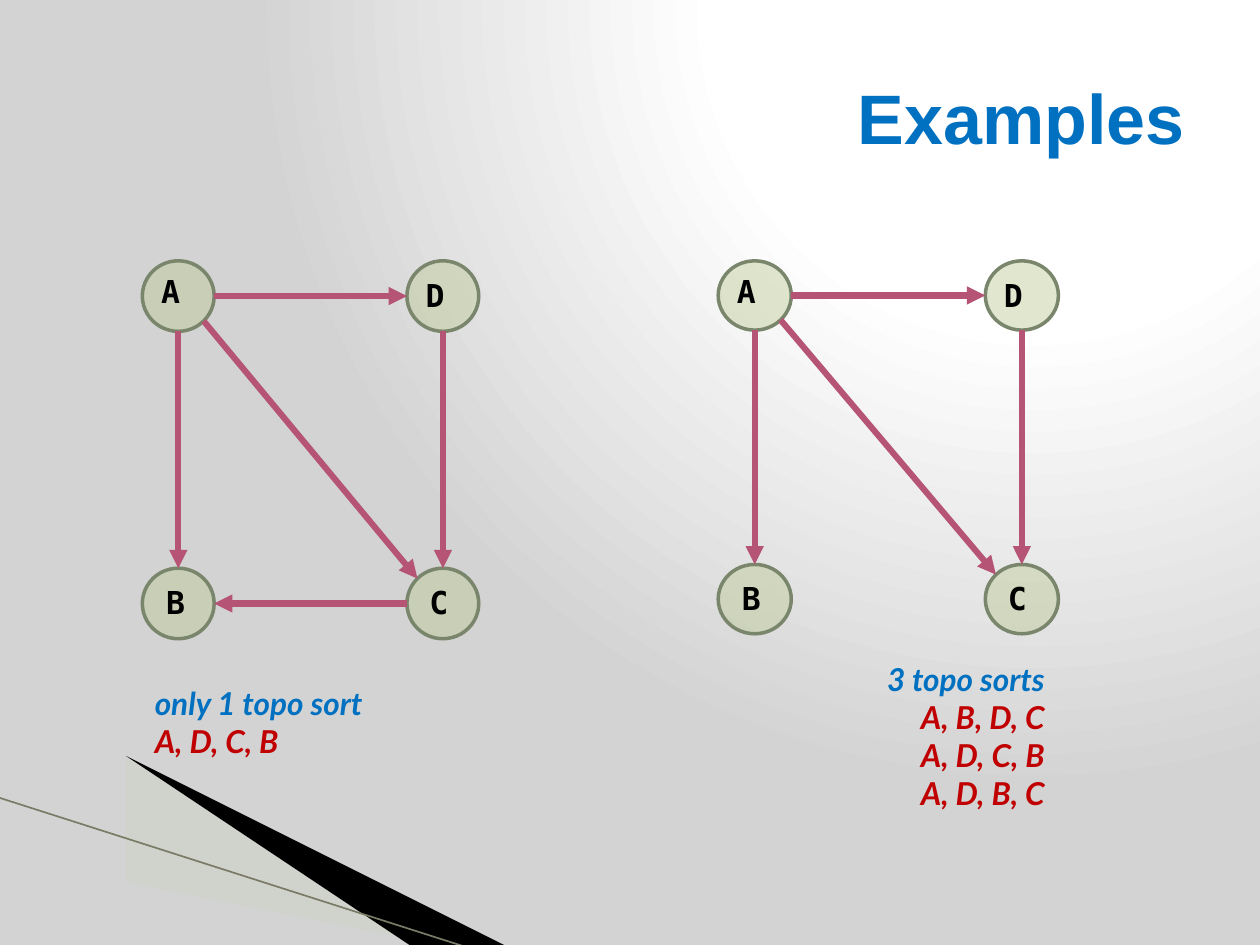
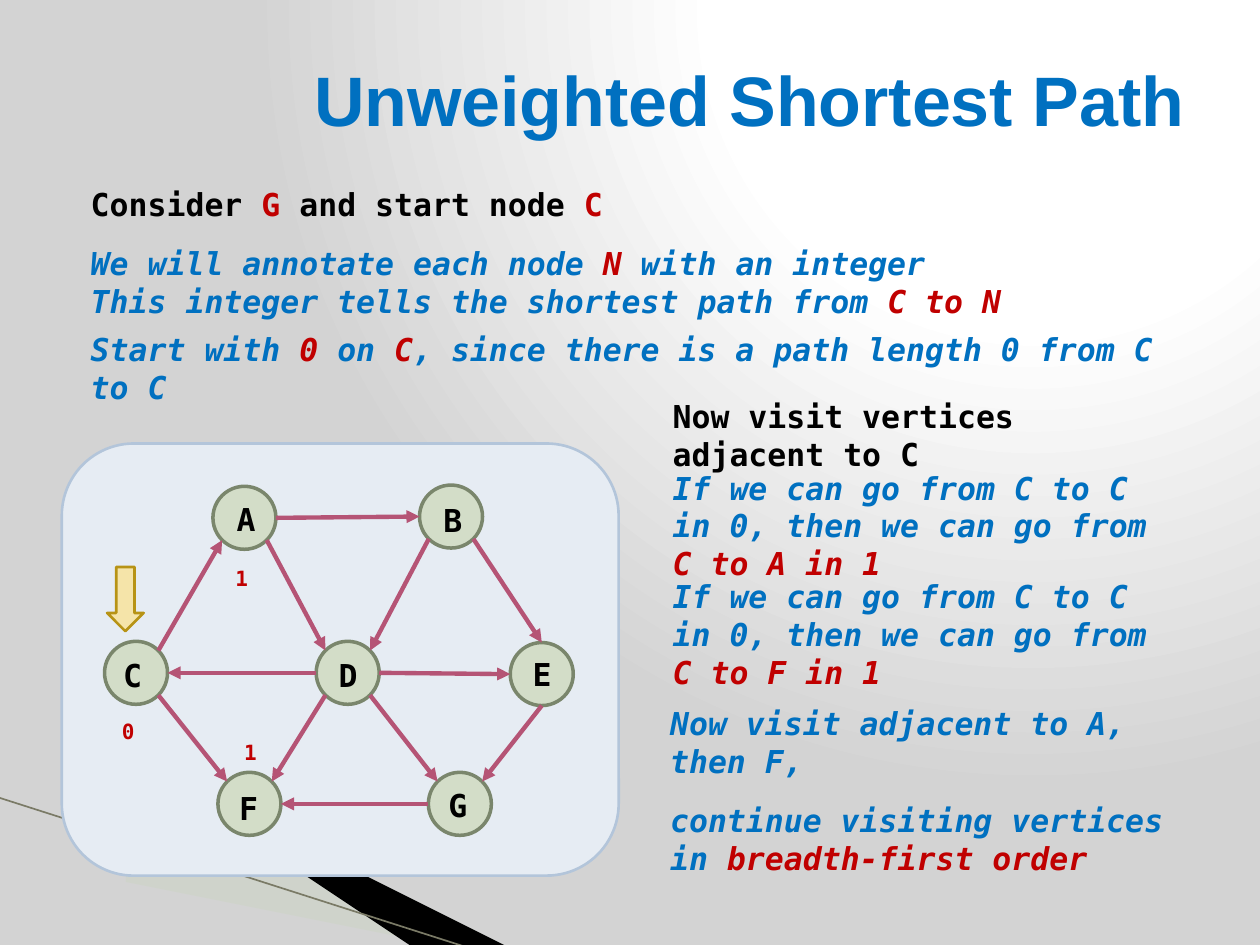
from pptx import Presentation
from pptx.dml.color import RGBColor
from pptx.enum.shapes import MSO_CONNECTOR as CONNECTOR, MSO_SHAPE as SHAPE
from pptx.enum.text import MSO_ANCHOR as ANCHOR, MSO_AUTO_SIZE as AUTO_SIZE, PP_ALIGN as ALIGN
from pptx.oxml import parse_xml
from pptx.oxml.ns import nsdecls, qn
from pptx.util import Inches, Pt
from lxml.etree import SubElement

COLORS = {
    "black": "000000", "blue": "0070C0", "red": "C00000",
    "node": "BECB95", "node_line": "7A866C", "edge": "B55475",
    "panel": "E6ECF3", "panel_line": "B3C5DA",
    "pointer": "F5E4A9", "pointer_line": "B79315",
    "band": "CBD4C0", "band_line": "7A7A66",
    "glow": "FFFFFF", "backdrop": "D3D3D3",
}
TITLE_FONT, MONO, CAPTION_FONT = "Arial", "DejaVu Sans Mono", "Lato"

# Connection points of a node, as fractions of its width and height
NEAR, FAR = 0.146, 0.854
SITES = {
    "n": (0.5, 0), "s": (0.5, 1), "w": (0, 0.5), "e": (1, 0.5),
    "nw": (NEAR, NEAR), "ne": (FAR, NEAR), "sw": (NEAR, FAR), "se": (FAR, FAR),
}
SQUARE_EDGES = ["A e D w", "A s B n", "A se C nw", "D s C n"]
PATH_EDGES = [
    "A e B w", "C ne A sw", "A se D nw", "B sw D ne", "B se E n", "D w C e",
    "D e E w", "C se F nw", "D sw F ne", "D se G nw", "E s G ne", "G w F e",
]


def rgb(name):
    return RGBColor.from_string(COLORS[name])


def paint(shape, fill, line=None, line_width=1, opacity=100):
    shape.shadow.inherit = False
    shape.fill.solid()
    shape.fill.fore_color.rgb = rgb(fill)
    if opacity < 100:
        color = shape.fill._xPr.find(qn("a:solidFill"))[0]
        SubElement(color, qn("a:alpha")).set("val", str(opacity * 1000))
    if line:
        shape.line.color.rgb = rgb(line)
        shape.line.width = Pt(line_width)
    else:
        shape.line.fill.background()


def add_line(shapes, start, end, color, width, arrow=False):
    points = [Inches(value) for value in (*start, *end)]
    line = shapes.add_connector(CONNECTOR.STRAIGHT, *points)
    line.line.color.rgb = rgb(color)
    line.line.width = Pt(width)
    if arrow:
        SubElement(line.line._get_or_add_ln(), qn("a:tailEnd")).set("type", "triangle")
    SubElement(line.element.spPr, qn("a:effectLst"))
    return line


def write(frame, paragraphs, size=18, font=MONO, align=ALIGN.LEFT, italic=False,
          before=(), after=0, indent=None):
    """Fill a frame; each paragraph is a list of (text, colour) runs."""
    for index, runs in enumerate(paragraphs):
        paragraph = frame.paragraphs[0] if index == 0 else frame.add_paragraph()
        if indent is not None:
            properties = paragraph._p.get_or_add_pPr()
            properties.set("marL", str(Inches(indent)))
            properties.set("indent", "0")
            SubElement(properties, qn("a:buNone"))
        paragraph.alignment = align
        paragraph.space_before = Pt(before[index] if index < len(before) else 0)
        paragraph.space_after = Pt(after)
        for text, color in runs:
            run = paragraph.add_run()
            run.text = text
            run.font.name = font
            run.font.size = Pt(size)
            run.font.bold = True
            run.font.italic = italic and color != "black" and not (indent and index == 0)
            run.font.color.rgb = rgb(color)


def add_text(shapes, box, paragraphs, **style):
    text_box = shapes.add_textbox(*(Inches(value) for value in box))
    text_box.text_frame.word_wrap = True
    text_box.text_frame.auto_size = AUTO_SIZE.SHAPE_TO_FIT_TEXT
    write(text_box.text_frame, paragraphs, **style)


def place(shape, box):
    shape.left, shape.top, shape.width, shape.height = (Inches(value) for value in box)
    shape.text_frame.auto_size = AUTO_SIZE.NONE


def add_title(slide, text, height):
    title = slide.shapes.title
    place(title, (0.5, 0.3, 9, height))
    title.text_frame.vertical_anchor = ANCHOR.MIDDLE
    write(title.text_frame, [[(text, "blue")]], size=40, font=TITLE_FONT, align=ALIGN.RIGHT)


def add_polygon(shapes, points, fill, opacity=100):
    builder = shapes.build_freeform(*points[0], scale=Inches(1))
    builder.add_line_segments(points[1:], close=True)
    polygon = builder.convert_to_shape()
    paint(polygon, fill, opacity=opacity)
    return polygon


def style_master(presentation, slide):
    """Give the master its glow and corner bands, shared by all slides."""
    master = presentation.slide_master
    stops = "".join(
        f'<a:gs pos="{position}000"><a:srgbClr val="{COLORS[name]}"/></a:gs>'
        for position, name in ((0, "glow"), (40, "glow"), (100, "backdrop")))
    background = parse_xml(
        f'<p:bg {nsdecls("p", "a")}><p:bgPr><a:gradFill rotWithShape="1">'
        f'<a:gsLst>{stops}</a:gsLst><a:path path="circle">'
        '<a:fillToRect l="65000" t="0" r="0" b="98000"/></a:path></a:gradFill>'
        '<a:effectLst/></p:bgPr></p:bg>')
    common = master.element.cSld
    common.remove(common.find(qn("p:bg")))
    common.insert(0, background)

    # Bands are drawn on a slide, then moved to the master
    bands = [
        add_polygon(slide.shapes, [(0.55, 6.51), (5.95, 7.51), (4.56, 7.51), (0.55, 6.5)],
                    "band", 40),
        add_polygon(slide.shapes, [(0.53, 6.49), (4.57, 7.51), (3.72, 7.52), (0.54, 6.5)],
                    "black"),
        add_line(slide.shapes, (-0.01, 6.33), (3.71, 7.52), "band_line", 0.95),
    ]
    for number, band in enumerate(bands, start=20):
        band.element.xpath(".//p:cNvPr")[0].set("id", str(number))
        master.shapes.element.append(band.element)


def add_graph(shapes, origin, nodes, node_size, edges, edge_width, label_size):
    """Draw nodes {name: (x, y, label dx, label dy)} and edges from the origin."""
    left, top = origin
    width, height = node_size
    corners = {name: (left + x, top + y) for name, (x, y, _, _) in nodes.items()}
    for x, y in corners.values():
        node = shapes.add_shape(SHAPE.OVAL, *(Inches(v) for v in (x, y, width, height)))
        paint(node, "node", "node_line", 2, opacity=45)

    def site(name, direction):
        (x, y), (across, down) = corners[name], SITES[direction]
        return x + across * width, y + down * height

    for edge in edges:
        source, leaving, target, entering = edge.split()
        add_line(shapes, site(source, leaving), site(target, entering),
                 "edge", edge_width, arrow=True)
    for name, (_, _, shift_x, shift_y) in nodes.items():
        x, y = corners[name]
        add_text(shapes, (x + shift_x, y + shift_y, *label_size), [[(name, "black")]], after=6)


def add_square_graph(slide, origin, node_size, step, edges):
    step_x, step_y = step
    nodes = {"A": (0, 0, 0.05, 0.04), "D": (step_x, 0, 0.05, 0.07),
             "B": (0, step_y, 0.09, 0.07), "C": (step_x, step_y, 0.08, 0.07)}
    group = slide.shapes.add_group_shape()
    add_graph(group.shapes, origin, nodes, node_size, edges, 3.5, (0.5, 0.44))


def add_sort_list(slide, box, heading, orders, align):
    paragraphs = [[(heading, "blue")]] + [[(order, "red")] for order in orders]
    add_text(slide.shapes, box, paragraphs, font=CAPTION_FONT, italic=True, align=align)


def build_examples(slide):
    add_title(slide, "Examples", 1.25)
    add_square_graph(slide, (1.13, 2.07), (0.57, 0.56), (2.1, 2.44), SQUARE_EDGES + ["C w B e"])
    add_sort_list(slide, (1.13, 5.38, 2.35, 0.71), "only 1 topo sort", ["A, D, C, B"], ALIGN.LEFT)
    add_square_graph(slide, (5.7, 2.07), (0.58, 0.55), (2.12, 2.41), SQUARE_EDGES)
    add_sort_list(slide, (5.84, 5.19, 2.55, 1.31), "3 topo sorts",
                  ["A, B, D, C", "A, D, C, B", "A, D, B, C"], ALIGN.RIGHT)


def add_path_panel(slide, box):
    left, top, _, _ = box
    shapes = slide.shapes.add_group_shape().shapes
    panel = shapes.add_shape(SHAPE.ROUNDED_RECTANGLE, *(Inches(value) for value in box))
    paint(panel, "panel", "panel_line", 1.5)
    nodes = {
        "A": (1.2, 0.34, 0.09, 0.06), "B": (2.84, 0.33, 0.09, 0.08),
        "C": (0.34, 1.57, 0.05, 0.07), "D": (2.02, 1.57, 0.08, 0.07),
        "E": (3.56, 1.58, 0.08, 0.05), "F": (1.24, 2.61, 0.07, 0.08),
        "G": (2.91, 2.61, 0.06, 0.06),
    }
    add_graph(shapes, (left, top), nodes, (0.5, 0.5), PATH_EDGES, 2.5, (0.33, 0.41))
    # Pointer to the start node
    pointer = shapes.add_shape(SHAPE.DOWN_ARROW, Inches(left + 0.36), Inches(top + 0.98),
                               Inches(0.29), Inches(0.51))
    paint(pointer, "pointer", "pointer_line", 1.5)
    # Distances from C
    for distance, x, y in (("0", 0.38, 2.13), ("1", 1.28, 0.92), ("1", 1.35, 2.3)):
        add_text(slide.shapes, (left + x, top + y, 0.33, 0.3), [[(distance, "red")]], size=12)


def add_introduction(slide, box):
    body = slide.placeholders[1]
    place(body, box)
    write(body.text_frame, [
        [("Consider ", "black"), ("G", "red"), (" and start node ", "black"), ("C", "red")],
        [("We will annotate each node ", "blue"), ("N ", "red"), ("with an integer", "blue")],
        [("This integer tells the shortest path from ", "blue"), ("C to N", "red")],
        [("Start with ", "blue"), ("0 ", "red"), ("on ", "blue"), ("C", "red"),
         (", since there is a path length 0 from C to C", "blue")],
    ], italic=True, before=(0, 12, 0, 6), indent=0.12)


def add_visit_steps(slide, left, top):
    width = 4.13
    add_text(slide.shapes, (left, top, width, 0.4),
             [[("Now visit vertices adjacent to C", "black")]])
    for target, offset in (("A", 0.57), ("F", 1.43)):
        add_text(slide.shapes, (left, top + offset, width, 0.71),
                 [[("If we can go from C to C in 0, then we can go from ", "blue"),
                   (f"C to {target} in 1", "red")]], italic=True)
    add_text(slide.shapes, (left - 0.02, top + 2.44, width + 0.3, 1.18), [
        [("Now visit adjacent to A, then F,", "blue")],
        [("continue visiting vertices in ", "blue"), ("breadth-first order", "red")],
    ], italic=True, before=(0, 12))


def build_shortest_path(slide):
    add_title(slide, "Unweighted Shortest Path", 0.97)
    add_introduction(slide, (0.5, 1.42, 9, 5.42))
    add_path_panel(slide, (0.49, 3.52, 4.42, 3.43))
    add_visit_steps(slide, 5.24, 3.1)


def main():
    presentation = Presentation()
    presentation.slide_width, presentation.slide_height = Inches(10), Inches(7.5)
    title_only, title_and_body = presentation.slide_layouts[5], presentation.slide_layouts[1]
    examples = presentation.slides.add_slide(title_only)
    style_master(presentation, examples)
    build_examples(examples)
    build_shortest_path(presentation.slides.add_slide(title_and_body))
    presentation.save("out.pptx")


if __name__ == "__main__":
    main()
